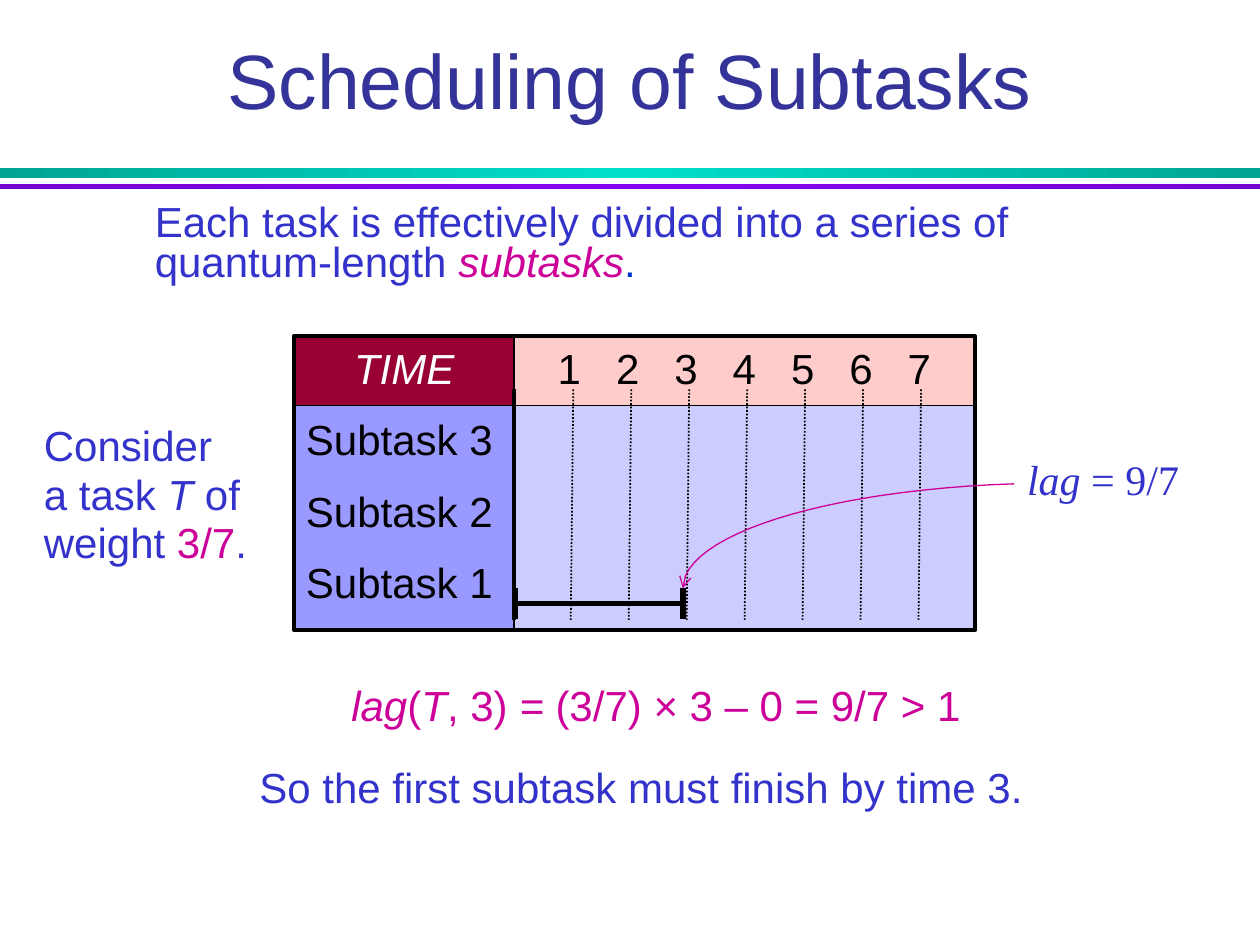
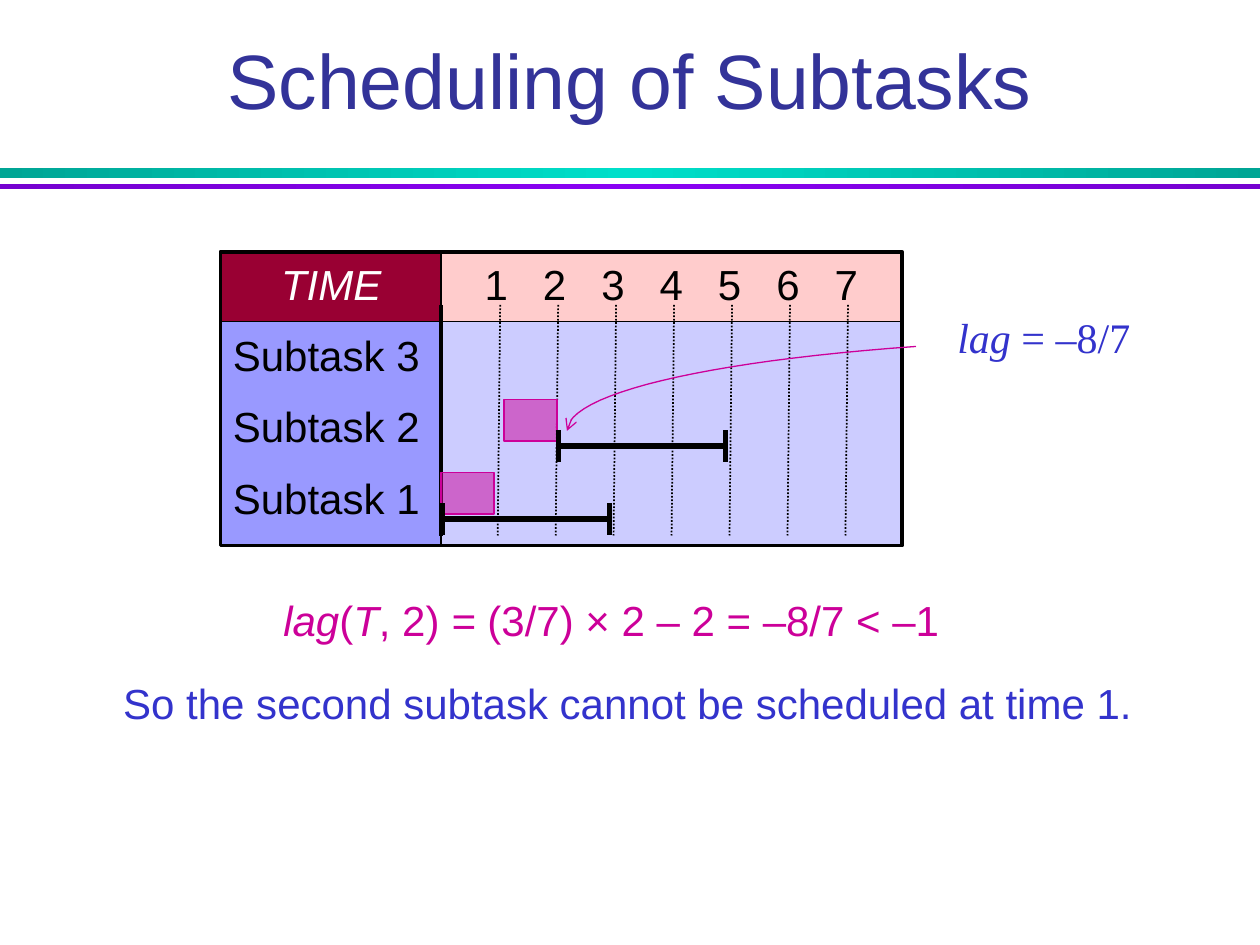
"""Builds two slides on scheduling the subtasks of a task of weight 3/7."""
import copy

import pptx
import pptx.dml.color
import pptx.enum.dml
import pptx.enum.shapes
import pptx.enum.text
import pptx.oxml
import pptx.oxml.ns
import pptx.util

COLORS = {
    "title": "333399", "blue": "3333CC", "magenta": "CC0099", "black": "000000",
    "white": "FFFFFF", "time": "990033", "hours": "FFCCCC", "names": "9999FF",
    "plot": "CCCCFF", "dot": "0033CC",
}
WIDTH, HEIGHT = 10, 7.5
TITLE = "Scheduling of Subtasks"
BANDS = [(1.33, 0.08, ("00A595", "00DFCA", "00A595")),
         (1.46, 0.04, ("7501D0", "8901F3", "7501D0"))]

NAME_W, PLOT_W, HEADER_H, BODY_TOP, BODY_H = 1.75, 3.66, 0.55, 0.5, 1.83
QUANTUM, ROW_H, TICK_TOP, TICK_END = 0.46, 0.58, 0.42, 2.25
WINDOW_W, WINDOW_Y, CAP = 1.34, 2.12, 0.125
JOB_W, JOB_H, JOB_RISE, JOB_STEP = 0.42, 0.33, 0.37, 0.5
TABS = [0.78] + [2.09 + 0.463 * hour for hour in range(7)]
GRID_TEXT = [
    [("\t", "black"), ("TIME", "white i"),
     ("".join(f"\t{hour}" for hour in range(1, 8)), "black")],
    *([(f"Subtask {number}", "black")] for number in (3, 2, 1)),
]

SLIDES = [
    {
        "grid": (2.33, 2.67),
        "windows": [(1, 0)],
        "jobs": [],
        "curve": [(8.05, 3.84), (6.54, 3.89), (5.42, 4.25), (5.42, 4.67)],
        "lag": ((8.05, 3.55, 1.41, 0.5), " = 9/7"),
        "notes": [
            ((0.75, 1.58, 8.58, 0.75), {"indents": [0.38]}, [
                [("Each task is effectively divided into a series of quantum-length ", "blue"),
                 ("subtasks", "magenta i"), (".", "dot")]]),
            ((0.25, 3.36, 1.85, 1.22), {"gap": 4.7, "wrap": False}, [
                [("Consider", "blue")],
                [("a task ", "blue"), ("T", "blue i"), (" of", "blue")],
                [("weight ", "blue"), ("3/7", "magenta"), (".", "blue")]]),
            ((0.58, 5.42, 8.58, 1.17), {"indents": [2.11, 1.38], "gap": 24}, [
                [("lag", "magenta i"), ("(", "magenta"), ("T", "magenta i"),
                 (", 3)", "magenta"), (" = ", "magenta i"),
                 ("(3/7) × 3 – 0 = 9/7 > 1", "magenta")],
                [("So the first subtask must finish by time 3.", "blue")]]),
        ],
    },
    {
        "grid": (1.75, 2),
        "windows": [(1, 0), (2, 2)],
        "jobs": [1, 2],
        "curve": [(7.27, 2.75), (5.58, 2.87), (4.5, 3.13), (4.5, 3.42)],
        "lag": ((7.5, 2.42, 1.57, 0.5), " = –8/7"),
        "notes": [
            ((0.5, 4.75, 8.83, 2.17), {"indents": [1.65, 0.38], "gap": 24}, [
                [("lag", "magenta i"), ("(", "magenta"), ("T", "magenta i"),
                 (", 2)", "magenta"), (" = ", "magenta i"),
                 ("(3/7) × 2 – 2 = –8/7 < –1", "magenta")],
                [("So the second subtask cannot be scheduled at time 1.", "blue")]]),
        ],
    },
]


def inches(*lengths):
    return [pptx.util.Inches(length) for length in lengths]


def rgb(color):
    return pptx.dml.color.RGBColor.from_string(COLORS.get(color, color))


def set_all(target, **values):
    for name, value in values.items():
        setattr(target, name, value)


def add_xml(parent, tag, **attributes):
    child = pptx.oxml.ns.qn(f"a:{tag}")
    element = parent.makeelement(child, attributes)
    parent.append(element)
    return element


def add_box(slide, area, fill=None, line=None, weight=0.75):
    box = slide.shapes.add_shape(pptx.enum.shapes.MSO_SHAPE.RECTANGLE, *inches(*area))
    box.shadow.inherit = False
    if fill:
        box.fill.solid()
        box.fill.fore_color.rgb = rgb(fill)
    else:
        box.fill.background()
    if line:
        box.line.color.rgb = rgb(line)
        box.line.width = pptx.util.Pt(weight)
    else:
        box.line.fill.background()
    return box


def add_line(slide, start, end, weight, dash=None):
    line = slide.shapes.add_connector(
        pptx.enum.shapes.MSO_CONNECTOR.STRAIGHT, *inches(*start, *end))
    line.line.color.rgb = rgb("black")
    set_all(line.line, width=pptx.util.Pt(weight), dash_style=dash)
    add_xml(line._element.spPr, "effectLst")


def write(shape, paragraphs, font="Arial", gap=0, spacing=None, indents=(),
          align="LEFT", wrap=True, tabs=()):
    frame = shape.text_frame
    set_all(frame, word_wrap=wrap, vertical_anchor=pptx.enum.text.MSO_ANCHOR.TOP)
    for index, runs in enumerate(paragraphs):
        paragraph = frame.add_paragraph() if index else frame.paragraphs[0]
        properties = paragraph._p.get_or_add_pPr()
        if index < len(indents):
            properties.set("marL", str(pptx.util.Inches(indents[index])))
        if tabs and index == 0:
            stops = add_xml(properties, "tabLst")
            for tab in tabs:
                add_xml(stops, "tab", pos=str(pptx.util.Inches(tab)), algn="ctr")
        set_all(paragraph, alignment=pptx.enum.text.PP_ALIGN[align], line_spacing=spacing)
        if index:
            paragraph.space_before = pptx.util.Pt(gap)
        for text, style in runs:
            color, *italic = style.split()
            run = paragraph.add_run()
            run.text = text
            set_all(run.font, name=font, size=pptx.util.Pt(24), italic=bool(italic))
            run.font.color.rgb = rgb(color)


def add_note(slide, area, paragraphs, **layout):
    write(slide.shapes.add_textbox(*inches(*area)), paragraphs, **layout)


def add_heading(slide):
    for top, height, colors in BANDS:
        band = add_box(slide, (0, top, WIDTH, height))
        band.fill.gradient()
        stops = band._element.spPr.find(".//" + pptx.oxml.ns.qn("a:gsLst"))
        stops.append(copy.deepcopy(stops[0]))
        for index, (stop, color) in enumerate(zip(band.fill.gradient_stops, colors)):
            stop.position = index / 2
            stop.color.rgb = rgb(color)
        band.fill.gradient_angle = 0
    title = slide.shapes.title
    left, top, width, height = inches(0, 0, WIDTH, 1.25)
    set_all(title, left=left, top=top, width=width, height=height)
    title.text_frame.text = TITLE
    title.text_frame.vertical_anchor = pptx.enum.text.MSO_ANCHOR.MIDDLE
    paragraph = title.text_frame.paragraphs[0]
    paragraph.alignment = pptx.enum.text.PP_ALIGN.CENTER
    set_all(paragraph.runs[0].font, name="Arial", size=pptx.util.Pt(44))
    paragraph.runs[0].font.color.rgb = rgb("title")


def add_grid(slide, left, top):
    axis = left + NAME_W
    for x, width, body, header in ((left, NAME_W, "names", "time"),
                                   (axis, PLOT_W, "plot", "hours")):
        add_box(slide, (x, top + BODY_TOP, width, BODY_H), body, "black")
        add_box(slide, (x, top, width, HEADER_H), header, "black")
    frame = add_box(slide, (left, top, NAME_W + PLOT_W, BODY_TOP + BODY_H),
                    line="black", weight=2.25)
    write(frame, GRID_TEXT, gap=12, tabs=TABS)
    for hour in range(1, 8):
        x = axis + hour * QUANTUM
        add_line(slide, (x + 0.01, top + TICK_TOP), (x - 0.01, top + TICK_END), 1,
                 pptx.enum.dml.MSO_LINE.ROUND_DOT)
    add_line(slide, (axis, top + TICK_TOP), (axis, top + TICK_END), 2.25)


def window_y(top, subtask):
    return top + WINDOW_Y - (subtask - 1) * ROW_H


def add_job(slide, axis, top, subtask):
    x = axis + (subtask - 1) * JOB_STEP
    y = window_y(top, subtask) - JOB_RISE
    job = add_box(slide, (x, y, JOB_W, JOB_H), "magenta", "magenta")
    color = job._element.spPr.find(
        pptx.oxml.ns.qn("a:solidFill") + "/" + pptx.oxml.ns.qn("a:srgbClr"))
    add_xml(color, "alpha", val="50000")


def add_window(slide, axis, top, subtask, release):
    x, y = axis + release * QUANTUM, window_y(top, subtask)
    add_line(slide, (x, y), (x + WINDOW_W, y), 3)
    for end in (x + WINDOW_W, x + 0.01):
        add_line(slide, (end, y - CAP), (end, y + CAP), 3)


def add_curve(slide, controls, steps=24):
    points = []
    for step in range(steps + 1):
        t = step / steps
        weights = ((1 - t) ** 3, 3 * t * (1 - t) ** 2, 3 * t * t * (1 - t), t ** 3)
        points.append(inches(*(sum(w * c for w, c in zip(weights, axis))
                               for axis in zip(*controls))))
    builder = slide.shapes.build_freeform(*points[0])
    builder.add_line_segments(points[1:], close=False)
    curve = builder.convert_to_shape()
    curve.shadow.inherit = False
    curve.fill.background()
    curve.line.color.rgb = rgb("magenta")
    curve.line.width = pptx.util.Pt(0.75)
    add_xml(curve.line._get_or_add_ln(), "tailEnd", type="arrow")


def main():
    deck = pptx.Presentation()
    deck.slide_width, deck.slide_height = inches(WIDTH, HEIGHT)
    for content in SLIDES:
        slide = deck.slides.add_slide(deck.slide_layouts[5])
        add_heading(slide)
        left, top = content["grid"]
        axis = left + NAME_W
        add_grid(slide, left, top)
        for area, layout, paragraphs in content["notes"]:
            add_note(slide, area, paragraphs, spacing=0.8, **layout)
        add_curve(slide, content["curve"])
        area, value = content["lag"]
        add_note(slide, area, [[("lag", "blue i"), (value, "blue")]],
                 font="Times New Roman", align="CENTER", wrap=False)
        for subtask in content["jobs"]:
            add_job(slide, axis, top, subtask)
        for subtask, release in content["windows"]:
            add_window(slide, axis, top, subtask, release)
    deck.save("out.pptx")


if __name__ == "__main__":
    main()
